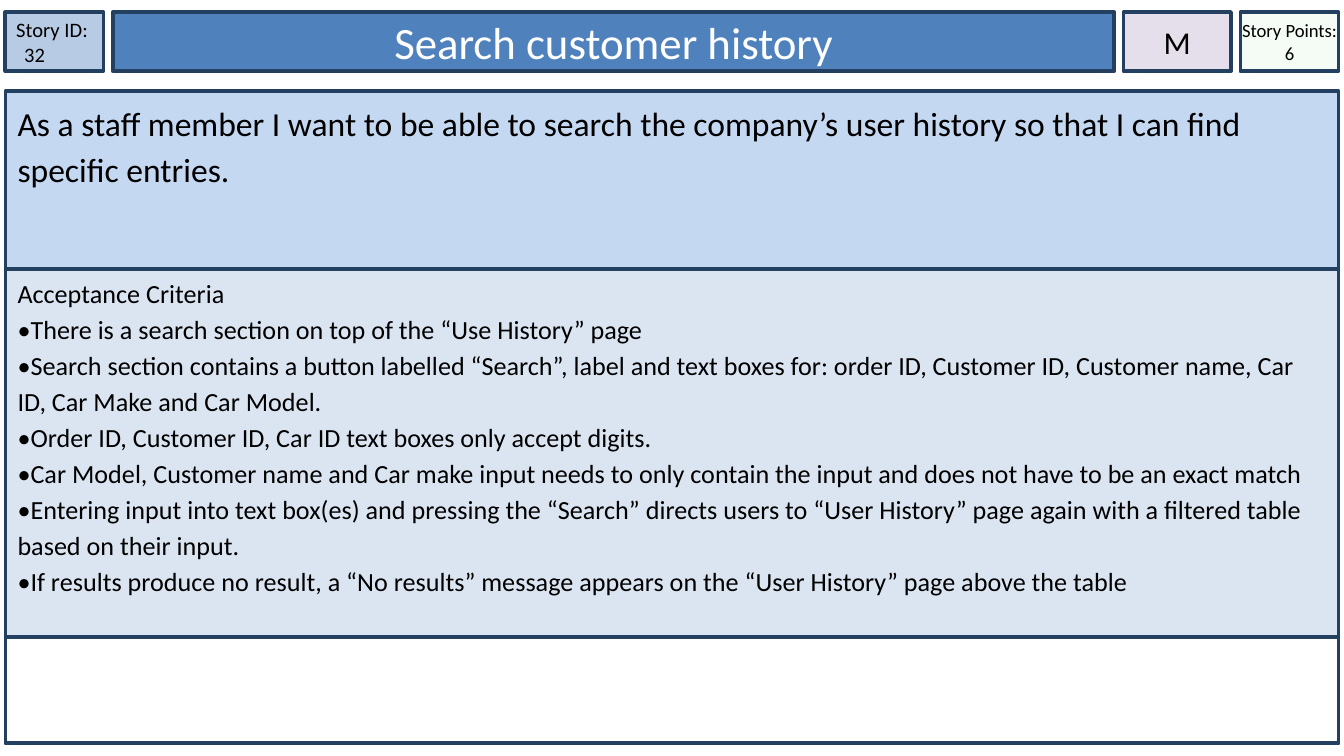
from dataclasses import dataclass

from lxml.etree import SubElement
from pptx import Presentation
from pptx.dml.color import RGBColor
from pptx.enum.shapes import MSO_SHAPE
from pptx.enum.text import MSO_ANCHOR, MSO_AUTO_SIZE, PP_ALIGN
from pptx.oxml.ns import qn
from pptx.util import Inches, Pt


@dataclass(frozen=True)
class Theme:
    font: str = "Calibri"
    border: str = "244061"
    border_width: float = 2
    ink: str = "000000"
    title_ink: str = "FFFFFF"
    story_id: str = "B7CCE4"
    title: str = "4F81BD"
    priority: str = "E5DFEC"
    points: str = "CCF0CD"
    story: str = "C5D8F1"
    criteria: str = "DAE5F1"
    notes: str = "FFFFFF"
    title_size: int = 24
    story_size: int = 18
    priority_size: int = 17
    criteria_size: int = 14
    id_size: int = 11
    points_size: int = 10


THEME = Theme()


@dataclass(frozen=True)
class Line:
    text: str
    align: PP_ALIGN = PP_ALIGN.LEFT
    indent: float = 0


@dataclass(frozen=True)
class Panel:
    width: float
    height: float
    fill: str
    size: int = THEME.criteria_size
    lines: tuple[Line, ...] = ()
    ink: str = THEME.ink
    inset: float = 0.09
    top_inset: float = 0.04
    anchor: MSO_ANCHOR = MSO_ANCHOR.MIDDLE
    spacing: float = 1.0
    opacity: int = 100
    is_title: bool = False


SLIDE_WIDTH = 10
SLIDE_HEIGHT = SLIDE_WIDTH * 9 / 16
LEFT, HEADER_TOP, BODY_TOP = 0.04, 0.09, 0.68
HEADER_HEIGHT, HEADER_GAP, BODY_WIDTH = 0.44, 0.07, 9.92
CENTER = PP_ALIGN.CENTER

HEADER = (
    Panel(0.73, HEADER_HEIGHT, THEME.story_id, THEME.id_size,
          (Line("Story ID: ", CENTER), Line("32", indent=0.14)), inset=0),
    Panel(7.45, HEADER_HEIGHT, THEME.title, THEME.title_size,
          (Line("Search customer history", CENTER),), THEME.title_ink, is_title=True),
    Panel(0.8, HEADER_HEIGHT, THEME.priority, THEME.priority_size,
          (Line("M", CENTER),), inset=0),
    Panel(0.73, HEADER_HEIGHT, THEME.points, THEME.points_size,
          (Line("Story Points: 6", CENTER),), inset=0, opacity=20),
)

CRITERIA = (
    "Acceptance Criteria",
    "•There is a search section on top of the “Use History” page",
    "•Search section contains a button labelled “Search”, label and text boxes for: "
    "order ID, Customer ID, Customer name, Car ID, Car Make and Car Model.",
    "•Order ID, Customer ID, Car ID text boxes only accept digits.",
    "•Car Model, Customer name and Car make input needs to only contain the input "
    "and does not have to be an exact match",
    "•Entering input into text box(es) and pressing the “Search” directs users to "
    "“User History” page again with a filtered table based on their input.",
    "•If results produce no result, a “No results” message appears on the "
    "“User History” page above the table",
)

BODY = (
    Panel(BODY_WIDTH, 1.32, THEME.story, THEME.story_size,
          (Line("As a staff member I want to be able to search the company’s user "
                "history so that I can find specific entries."),),
          anchor=MSO_ANCHOR.TOP, spacing=1.15),
    Panel(BODY_WIDTH, 2.74, THEME.criteria, THEME.criteria_size,
          tuple(Line(text) for text in CRITERIA),
          top_inset=0.03, anchor=MSO_ANCHOR.TOP, spacing=1.15),
    Panel(BODY_WIDTH, 0.79, THEME.notes),
)


def write_lines(frame, panel: Panel) -> None:
    """Fill a text frame with the panel's paragraphs."""
    frame.auto_size = MSO_AUTO_SIZE.NONE
    frame.word_wrap = True
    frame.vertical_anchor = panel.anchor
    frame.margin_left = frame.margin_right = Inches(panel.inset)
    frame.margin_top, frame.margin_bottom = Inches(panel.top_inset), Inches(0.04)
    for index, line in enumerate(panel.lines):
        paragraph = frame.paragraphs[0] if index == 0 else frame.add_paragraph()
        paragraph.text = line.text
        paragraph.alignment = line.align
        paragraph.line_spacing = panel.spacing
        if line.indent:
            paragraph._p.get_or_add_pPr().set("marL", str(Inches(line.indent)))
        paragraph.font.name = THEME.font
        paragraph.font.size = Pt(panel.size)
        paragraph.font.color.rgb = RGBColor.from_string(panel.ink)


def draw_panel(slide, panel: Panel, left: float, top: float) -> None:
    """Draw one bordered panel, using the title placeholder for the title."""
    box = tuple(Inches(value) for value in (left, top, panel.width, panel.height))
    if panel.is_title:
        shape = slide.shapes.title
        shape.left, shape.top, shape.width, shape.height = box
    else:
        shape = slide.shapes.add_shape(MSO_SHAPE.RECTANGLE, *box)
        shape.shadow.inherit = False
    shape.fill.solid()
    shape.fill.fore_color.rgb = RGBColor.from_string(panel.fill)
    if panel.opacity < 100:
        color = shape.fill._xPr.find(qn("a:solidFill"))[0]
        SubElement(color, qn("a:alpha"), val=str(panel.opacity * 1000))
    shape.line.color.rgb = RGBColor.from_string(THEME.border)
    shape.line.width = Pt(THEME.border_width)
    write_lines(shape.text_frame, panel)


def main() -> None:
    """Build the story card and save it."""
    presentation = Presentation()
    presentation.slide_width = Inches(SLIDE_WIDTH)
    presentation.slide_height = Inches(SLIDE_HEIGHT)
    slide = presentation.slides.add_slide(presentation.slide_layouts[5])
    left = LEFT
    for panel in HEADER:
        draw_panel(slide, panel, left, HEADER_TOP)
        left += panel.width + HEADER_GAP
    top = BODY_TOP
    for panel in BODY:
        draw_panel(slide, panel, LEFT, top)
        top += panel.height
    presentation.save("out.pptx")


if __name__ == "__main__":
    main()
